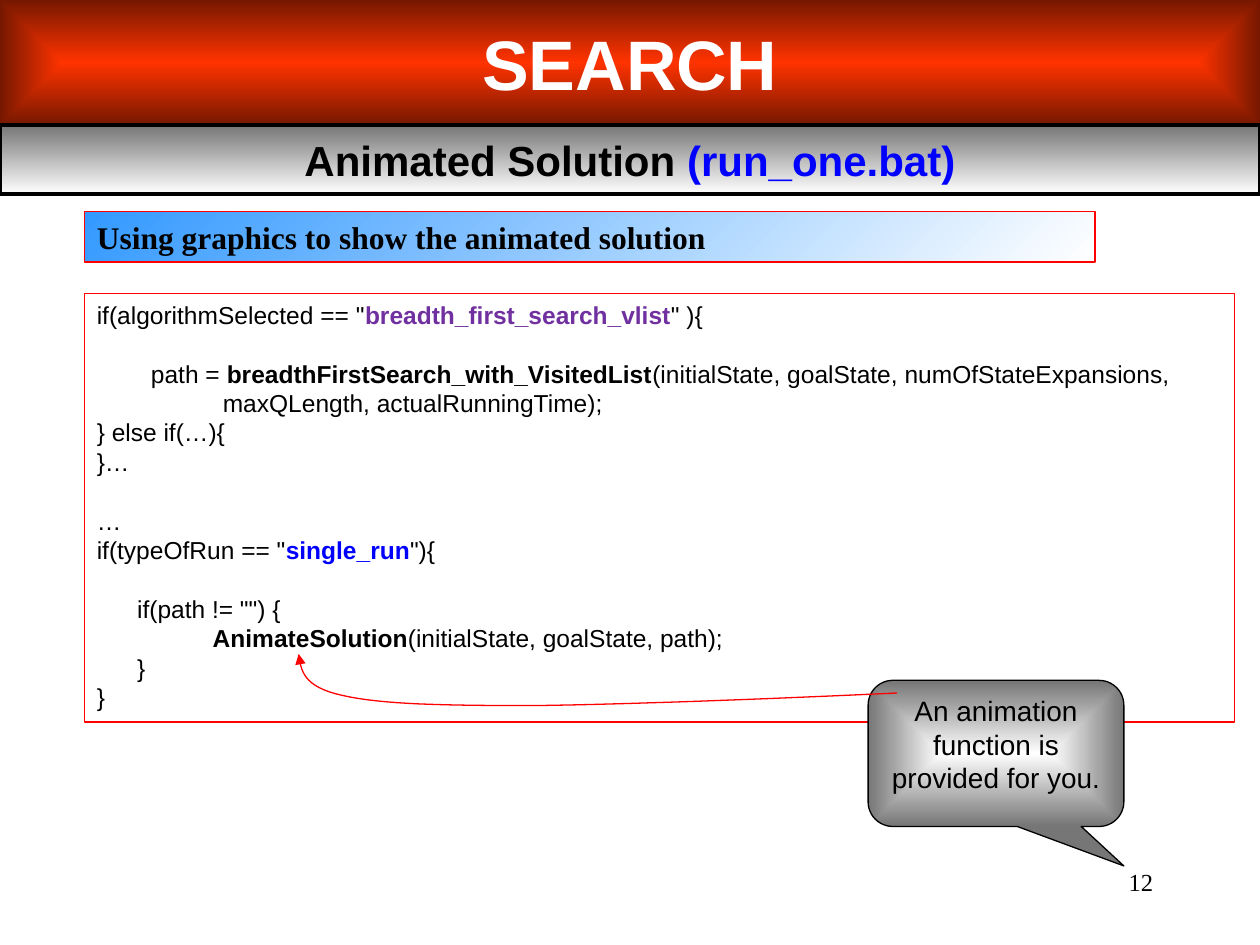
from lxml import etree
from pptx import Presentation
from pptx.dml.color import RGBColor
from pptx.enum.shapes import MSO_SHAPE
from pptx.enum.text import MSO_ANCHOR, MSO_AUTO_SIZE, PP_ALIGN
from pptx.oxml.ns import qn
from pptx.util import Inches, Pt

RECTANGLE = MSO_SHAPE.RECTANGLE
CALLOUT = MSO_SHAPE.ROUNDED_RECTANGULAR_CALLOUT
TOP, MIDDLE = MSO_ANCHOR.TOP, MSO_ANCHOR.MIDDLE
LEFT, CENTER, RIGHT = PP_ALIGN.LEFT, PP_ALIGN.CENTER, PP_ALIGN.RIGHT
FIXED = MSO_AUTO_SIZE.NONE

COLORS = {
    "black": "000000",
    "white": "FFFFFF",
    "red": "FF0000",
    "orange": "FF3300",
    "maroon": "761800",
    "gray": "767676",
    "sky": "3399FF",
    "blue": "0000FF",
    "purple": "7030A0",
}


def color(name):
    return RGBColor.from_string(COLORS[name])


def styled(text, **font):
    return text, font


def curve_points(start, segments, steps=16):
    points = [start]
    for first, second, end in segments:
        begin = points[-1]
        for step in range(1, steps + 1):
            t = step / steps
            weights = ((1 - t) ** 3, 3 * t * (1 - t) ** 2, 3 * t * t * (1 - t), t ** 3)
            corners = (begin, first, second, end)
            points.append(tuple(
                sum(weight * corner[axis] for weight, corner in zip(weights, corners))
                for axis in (0, 1)
            ))
    return points


class SlideBuilder:
    def __init__(self, slide, font="Arial"):
        self.slide = slide
        self.font = font

    def outline(self, shape, name, width=0.75):
        if name is None:
            shape.line.fill.background()
        else:
            shape.line.color.rgb = color(name)
            shape.line.width = Pt(width)

    def gradient(self, shape, start, end, angle=None):
        shape.fill.gradient()
        for stop, name in zip(shape.fill.gradient_stops, (start, end)):
            stop.color.rgb = color(name)
        if angle is not None:
            shape.fill.gradient_angle = (360 - angle) % 360
            return
        element = shape._element.spPr.find(qn("a:gradFill"))
        element.remove(element.find(qn("a:lin")))
        route = etree.SubElement(element, qn("a:path"), path="rect")
        etree.SubElement(route, qn("a:fillToRect"), l="50000", t="50000", r="50000", b="50000")

    def place(self, shape, left, top, width, height):
        shape.left, shape.top = Inches(left), Inches(top)
        shape.width, shape.height = Inches(width), Inches(height)

    def fill_text(self, shape, lines, align=LEFT, anchor=TOP, **font):
        frame = shape.text_frame
        frame.word_wrap = True
        frame.auto_size = FIXED
        frame.vertical_anchor = anchor
        for index, (runs, layout) in enumerate(lines):
            paragraph = frame.add_paragraph() if index else frame.paragraphs[0]
            self.fill_paragraph(paragraph, runs, align, font, **layout)

    def fill_paragraph(self, paragraph, runs, align, font, indent=0, hanging=0,
                       before=0, spacing=None):
        paragraph.alignment = align
        paragraph.space_before = Pt(before)
        if spacing:
            paragraph.line_spacing = Pt(spacing)
        properties = paragraph._p.get_or_add_pPr()
        properties.set("marL", str(Inches(indent + hanging)))
        properties.set("indent", str(-Inches(hanging)))
        for text, changes in runs:
            self.add_run(paragraph, text, **{**font, **changes})

    def add_run(self, paragraph, text, size=14, fill="black", bold=False, name=None):
        run = paragraph.add_run()
        run.text = text
        run.font.name = name or self.font
        run.font.size = Pt(size)
        run.font.bold = bold
        run.font.color.rgb = color(fill)

    def title(self, box, text, start, end, **font):
        shape = self.slide.shapes.title
        self.place(shape, *box)
        self.gradient(shape, start, end)
        self.fill_text(shape, [([styled(text)], {})], CENTER, MIDDLE, **font)

    def shape(self, kind, box, lines, gradient=None, line=None, line_width=0.75, **text):
        shape = self.slide.shapes.add_shape(kind, *map(Inches, box))
        shape.shadow.inherit = False
        if gradient:
            self.gradient(shape, *gradient)
        else:
            shape.fill.background()
        self.outline(shape, line, line_width)
        self.fill_text(shape, lines, **text)
        return shape

    def text_box(self, box, text, **style):
        shape = self.slide.shapes.add_textbox(*map(Inches, box))
        self.fill_text(shape, [([styled(text)], {})], **style)

    def curved_arrow(self, start, segments, line):
        points = [(Inches(x), Inches(y)) for x, y in curve_points(start, segments)]
        builder = self.slide.shapes.build_freeform(*points[0])
        builder.add_line_segments(points[1:], close=False)
        shape = builder.convert_to_shape()
        shape.shadow.inherit = False
        shape.fill.background()
        self.outline(shape, line)
        outline = shape._element.spPr.find(qn("a:ln"))
        etree.SubElement(outline, qn("a:tailEnd"), type="triangle")


presentation = Presentation()
presentation.slide_width, presentation.slide_height = Inches(10), Inches(7.5)
page = SlideBuilder(presentation.slides.add_slide(presentation.slide_layouts[5]))

page.title((0, 0, 10, 0.99), "SEARCH", "orange", "maroon", size=40, fill="white", bold=True)
page.text_box((7.17, 6.83, 2.08, 0.5), "12", align=RIGHT, name="Times New Roman")
page.shape(
    RECTANGLE, (0, 0.99, 10, 0.55),
    [([styled("Animated Solution "), styled("(run_one.bat)", fill="blue")], {})],
    gradient=("gray", "white", 90), line="black", line_width=2.25,
    align=CENTER, anchor=MIDDLE, size=24, bold=True,
)

LINE = 16.83
code = [
    ([styled('if(algorithmSelected == "'),
      styled("breadth_first_search_vlist", fill="purple", bold=True), styled('" ){')], {}),
    ([styled("path = "), styled("breadthFirstSearch_with_VisitedList", bold=True),
      styled("(initialState, goalState, numOfStateExpansions, maxQLength, actualRunningTime);")],
     {"indent": 0.43, "hanging": 0.57, "before": LINE}),
    ([styled("} else if(…){")], {}),
    ([styled("}…")], {}),
    ([styled("…")], {"before": LINE}),
    ([styled('if(typeOfRun == "'), styled("single_run", fill="blue", bold=True),
      styled('"){')], {}),
    ([styled('if(path != "") {')], {"indent": 0.32, "before": LINE}),
    ([styled("AnimateSolution", bold=True), styled("(initialState, goalState, path);")],
     {"indent": 0.92}),
    ([styled("}")], {"indent": 0.32}),
    ([styled("}")], {}),
]
page.shape(
    RECTANGLE, (0.67, 2.33, 9.13, 3.4),
    [(runs, {"spacing": LINE, **layout}) for runs, layout in code], line="red",
)

callout = page.shape(
    CALLOUT, (6.89, 5.4, 2.03, 1.16),
    [([styled("An animation function is provided for you.")], {"spacing": 19.15})],
    gradient=("white", "gray"), line="black", align=CENTER, size=16,
)
for index, value in enumerate((0.5, 0.77, 0.17)):
    callout.adjustments[index] = value

page.shape(
    RECTANGLE, (0.67, 1.68, 8.02, 0.4),
    [([styled("Using graphics to show the animated solution")], {"hanging": 0.26})],
    gradient=("sky", "white", 45), line="red", size=18, bold=True, name="Times New Roman",
)
page.curved_arrow(
    (7.12, 5.5),
    [((6.05, 5.55), (4.97, 5.59), (4.24, 5.6)),
     ((3.5, 5.6), (3.03, 5.59), (2.72, 5.52)),
     ((2.4, 5.45), (2.39, 5.32), (2.37, 5.19))],
    line="red",
)

presentation.save("out.pptx")
